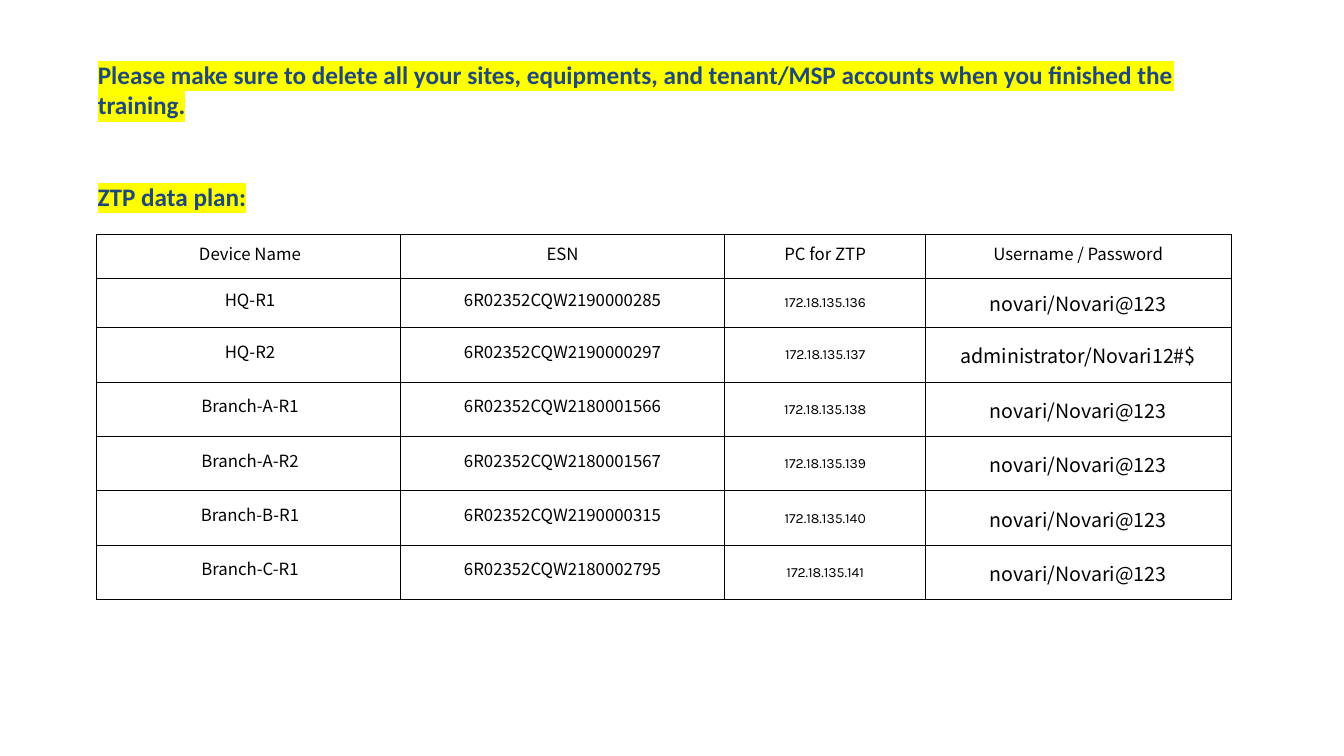
from lxml import etree
from pptx import Presentation
from pptx import util as u
from pptx.dml.color import RGBColor
from pptx.enum import text
from pptx.oxml.ns import qn

COLORS = {"heading": "1F497D", "marker": "FFFF00", "ink": "000000"}
BODY_FONT = "Noto Sans CJK SC"
HEADERS = ["Device Name", "ESN", "PC for ZTP", "Username / Password"]
LOGIN = "novari/Novari@123"
DEVICES = [
    ("HQ-R1", "6R02352CQW2190000285", LOGIN),
    ("HQ-R2", "6R02352CQW2190000297", "administrator/Novari12#$"),
    ("Branch-A-R1", "6R02352CQW2180001566", LOGIN),
    ("Branch-A-R2", "6R02352CQW2180001567", LOGIN),
    ("Branch-B-R1", "6R02352CQW2190000315", LOGIN),
    ("Branch-C-R1", "6R02352CQW2180002795", LOGIN),
]
FIRST_PC = 136
COLUMN_WIDTHS = [3.01, 3.22, 1.99, 3.03]
ROW_HEIGHTS = [0.43, 0.49] + [0.54] * 5


def add_span(para, words, size, font, color, bold=False):
    span = para.add_run()
    span.text = words
    span.font.size = u.Pt(size)
    span.font.name = font
    span.font.bold = bold
    span.font.color.rgb = RGBColor.from_string(COLORS[color])
    return span


def write_heading(box, words, wrap=True):
    frame = box.text_frame
    frame.word_wrap = wrap
    frame.auto_size = text.MSO_AUTO_SIZE.NONE
    frame.vertical_anchor = text.MSO_ANCHOR.TOP
    para = frame.paragraphs[0]
    para.alignment = text.PP_ALIGN.LEFT
    span = add_span(para, words, 18, "Calibri", "heading", bold=True)
    highlight = etree.Element(qn("a:highlight"))
    etree.SubElement(highlight, qn("a:srgbClr"), val=COLORS["marker"])
    span.font._element.find(qn("a:solidFill")).addnext(highlight)


def add_borders(cell):
    properties = cell._tc.get_or_add_tcPr()
    for position, side in enumerate(("a:lnL", "a:lnR", "a:lnT", "a:lnB")):
        line = etree.Element(qn(side), w=str(u.Pt(0.75)))
        fill = etree.SubElement(line, qn("a:solidFill"))
        etree.SubElement(fill, qn("a:srgbClr"), val=COLORS["ink"])
        properties.insert(position, line)


def fill_cell(cell, words, size, font, spaced, indent):
    cell.fill.background()
    add_borders(cell)
    cell.vertical_anchor = text.MSO_ANCHOR.MIDDLE
    side = u.Inches(0.07 if spaced else 0.01)
    cell.margin_left = cell.margin_right = side
    cell.margin_top = u.Inches(0 if spaced else 0.01)
    cell.margin_bottom = 0
    para = cell.text_frame.paragraphs[0]
    para.alignment = text.PP_ALIGN.CENTER
    if spaced:
        para.line_spacing = u.Pt(12)
        para.space_before = para.space_after = u.Pt(4)
    if indent:
        para._p.get_or_add_pPr().set("indent", str(u.Inches(0.03)))
    add_span(para, words, size, font, "ink")


def add_plan(page):
    rows = [HEADERS] + [
        (name, esn, f"172.18.135.{FIRST_PC + number}", login)
        for number, (name, esn, login) in enumerate(DEVICES)
    ]
    frame = page.shapes.add_table(
        len(rows), len(HEADERS), u.Inches(0.96), u.Inches(2.33),
        u.Inches(sum(COLUMN_WIDTHS)), u.Inches(sum(ROW_HEIGHTS)))
    table = frame.table
    table.first_row = table.horz_banding = False
    for column, width in zip(table.columns, COLUMN_WIDTHS):
        column.width = u.Inches(width)
    for row, height in zip(table.rows, ROW_HEIGHTS):
        row.height = u.Inches(height)
    body_styles = [(12, BODY_FONT), (12, BODY_FONT), (10, "Karla"), (14, BODY_FONT)]
    for r, values in enumerate(rows):
        for c, words in enumerate(values):
            size, font = body_styles[c] if r else (12, BODY_FONT)
            spaced = r == 0 or c < 2
            fill_cell(table.cell(r, c), words, size, font, spaced, c == 0)


def main():
    deck = Presentation()
    deck.slide_width, deck.slide_height = u.Inches(13.33), u.Inches(7.5)
    page = deck.slides.add_slide(deck.slide_layouts[5])
    title = page.shapes.title
    title.left, title.top = u.Inches(0.87), u.Inches(0.54)
    title.width, title.height = u.Inches(11.34), u.Inches(0.71)
    write_heading(title, "Please make sure to delete all your sites, equipments, and "
                  "tenant/MSP accounts when you finished the training.")
    add_plan(page)
    label = page.shapes.add_textbox(
        u.Inches(0.87), u.Inches(1.75), u.Inches(1.69), u.Inches(0.4))
    write_heading(label, "ZTP data plan:", wrap=False)
    deck.save("out.pptx")


if __name__ == "__main__":
    main()
